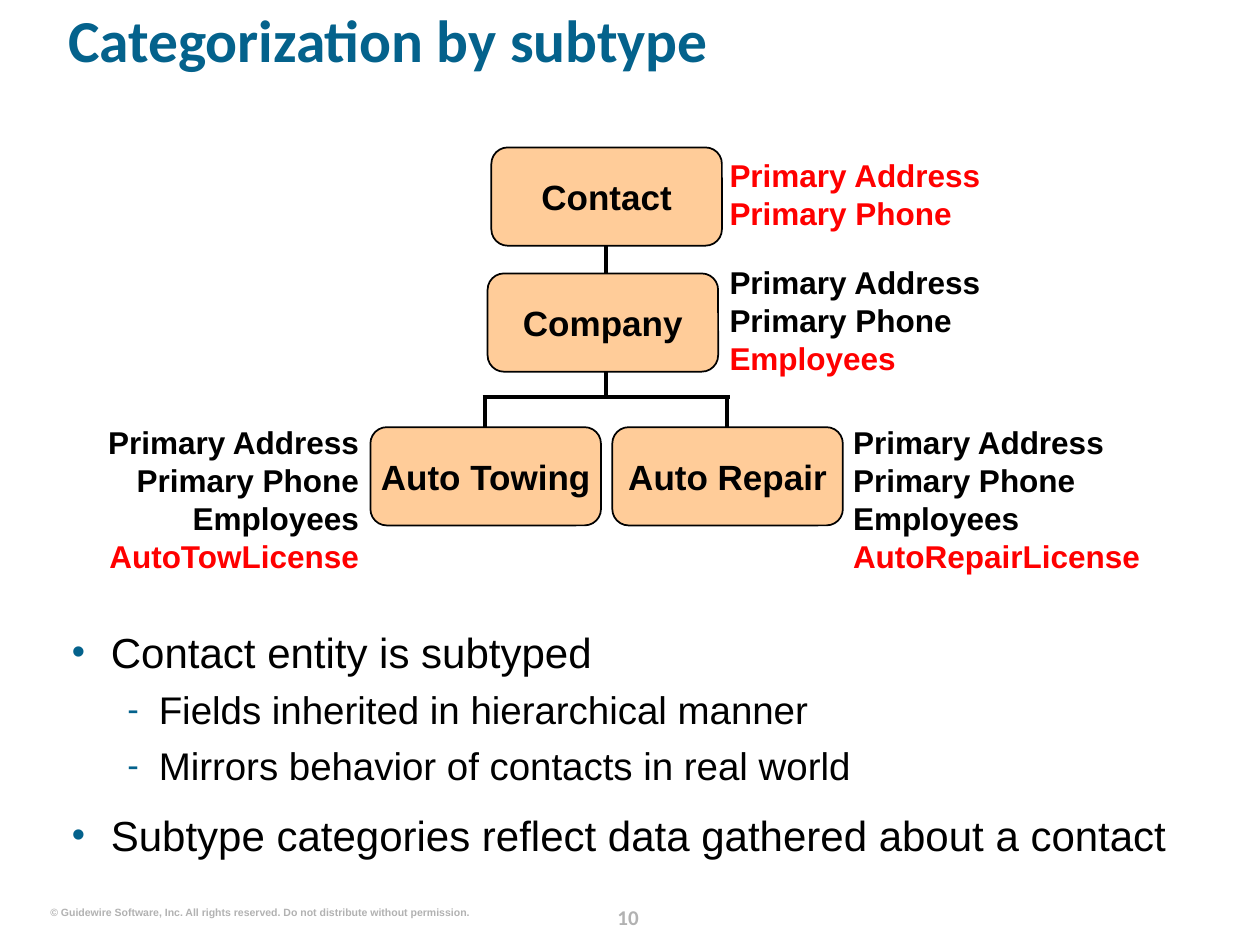
from dataclasses import dataclass

from lxml.etree import SubElement
from pptx import Presentation
from pptx.dml.color import RGBColor
from pptx.enum.shapes import MSO_CONNECTOR, MSO_SHAPE
from pptx.enum.text import MSO_ANCHOR, MSO_AUTO_SIZE, PP_ALIGN
from pptx.oxml.ns import qn
from pptx.util import Inches, Pt


@dataclass(frozen=True)
class Theme:
    brand: str = "04628C"
    ink: str = "000000"
    added: str = "FF0000"
    node: str = "FFCC99"
    muted: str = "B2B2B2"
    heading_font: str = "Calibri"
    body_font: str = "Arial"
    title: int = 34
    bullet: int = 24
    sub_bullet: int = 22
    label: int = 20
    field: int = 18
    page: int = 12
    legal: int = 6


THEME = Theme()
NODE_W, NODE_H = 1.83, 0.78
FIELD_LINE = 0.3


def place(sp, box):
    sp.left, sp.top, sp.width, sp.height = (Inches(v) for v in box)


def prepare_frame(tf, anchor=MSO_ANCHOR.TOP, wrap=True):
    tf.auto_size = MSO_AUTO_SIZE.NONE
    tf.word_wrap = wrap
    tf.vertical_anchor = anchor
    tf.margin_left = tf.margin_right = tf.margin_top = tf.margin_bottom = 0


def write(p, text, size, color=THEME.ink, bold=False, font=THEME.body_font,
          align=PP_ALIGN.LEFT, before=0, spacing=None):
    p.alignment = align
    p.space_before = Pt(before)
    p.line_spacing = spacing
    r = p.add_run()
    r.text = text
    r.font.name = font
    r.font.size = Pt(size)
    r.font.bold = bold
    r.font.color.rgb = RGBColor.from_string(color)


def add_text_box(s, box, wrap=True):
    sp = s.shapes.add_textbox(*(Inches(v) for v in box))
    prepare_frame(sp.text_frame, wrap=wrap)
    return sp.text_frame.paragraphs[0]


def add_bullet(p, char, left, hanging):
    pPr = p._p.get_or_add_pPr()
    pPr.set("marL", str(Inches(left)))
    pPr.set("indent", str(-Inches(hanging)))
    color = SubElement(pPr, qn("a:buClr"))
    SubElement(color, qn("a:srgbClr"), val=THEME.brand)
    SubElement(pPr, qn("a:buSzPct"), val="90000")
    SubElement(pPr, qn("a:buFont"), typeface=THEME.body_font)
    SubElement(pPr, qn("a:buChar"), char=char)


def add_line(s, x1, y1, x2, y2):
    line = s.shapes.add_connector(
        MSO_CONNECTOR.STRAIGHT, *(Inches(v) for v in (x1, y1, x2, y2)))
    line.line.color.rgb = RGBColor.from_string(THEME.ink)
    line.line.width = Pt(2.25)
    SubElement(line._element.spPr, qn("a:effectLst"))


def add_node(s, x, y, label):
    sp = s.shapes.add_shape(MSO_SHAPE.ROUNDED_RECTANGLE, Inches(x), Inches(y),
                            Inches(NODE_W), Inches(NODE_H))
    sp.shadow.inherit = False
    sp.fill.solid()
    sp.fill.fore_color.rgb = RGBColor.from_string(THEME.node)
    sp.line.color.rgb = RGBColor.from_string(THEME.ink)
    sp.line.width = Pt(1)
    prepare_frame(sp.text_frame, MSO_ANCHOR.MIDDLE)
    write(sp.text_frame.paragraphs[0], label, THEME.label, bold=True,
          align=PP_ALIGN.CENTER)


def add_fields(s, x, y, width, inherited, added, align=PP_ALIGN.LEFT):
    fields = [(name, THEME.ink) for name in inherited]
    fields += [(name, THEME.added) for name in added]
    p = add_text_box(s, (x, y, width, FIELD_LINE * len(fields)))
    for i, (name, color) in enumerate(fields):
        if i:
            p.add_line_break()
        write(p, name, THEME.field, color, bold=True, align=align)


def add_hierarchy(s, box):
    left, top, width, height = box
    trunk, fork = left + 4.16, top + 1.98
    drops = left + 3.2, left + 5.12
    add_line(s, trunk, top + NODE_H, trunk, fork)
    add_line(s, drops[0] - 0.02, fork, drops[1] + 0.02, fork)
    for x in drops:
        add_line(s, x, fork, x, top + 2.22)

    for x, y, label in [(3.25, 0, "Contact"), (3.22, 1, "Company"),
                        (2.29, 2.22, "Auto Towing"), (4.21, 2.22, "Auto Repair")]:
        add_node(s, left + x, top + y, label)

    contact = ["Primary Address", "Primary Phone"]
    company = contact + ["Employees"]
    add_fields(s, left + 5.14, top + 0.07, 2.2, [], contact)
    add_fields(s, left + 5.14, top + 0.92, 2.2, contact, ["Employees"])
    add_fields(s, left, top + 2.19, 2.2, company, ["AutoTowLicense"], PP_ALIGN.RIGHT)
    add_fields(s, left + 6.12, top + 2.19, width - 6.12, company, ["AutoRepairLicense"])


def add_title(s, box, text):
    sp = s.shapes.title
    place(sp, box)
    prepare_frame(sp.text_frame)
    write(sp.text_frame.paragraphs[0], text, THEME.title, THEME.brand, bold=True,
          font=THEME.heading_font, spacing=0.8)


def add_body(s, box, items):
    sp = s.placeholders[1]
    place(sp, box)
    tf = sp.text_frame
    prepare_frame(tf)
    styles = [("•", 0.31, 0.31, THEME.bullet, 12), ("-", 0.69, 0.25, THEME.sub_bullet, 5.5)]
    for i, (level, text) in enumerate(items):
        p = tf.add_paragraph() if i else tf.paragraphs[0]
        char, indent, hanging, size, before = styles[level]
        p.level = level
        add_bullet(p, char, indent, hanging)
        write(p, text, size, before=before if i else 0)


def add_footer(s, box, legal, page):
    left, top, width, height = box
    p = add_text_box(s, (left, top + 0.06, 3.33, 0.1), wrap=False)
    write(p, legal, THEME.legal, THEME.muted, bold=True)
    p = add_text_box(s, (left + 4.3, top, 0.57, height))
    write(p, page, THEME.page, THEME.muted, bold=True, font=THEME.heading_font,
          align=PP_ALIGN.CENTER, spacing=Pt(18))


def main():
    prs = Presentation()
    prs.slide_width, prs.slide_height = Inches(10), Inches(7.5)
    s = prs.slides.add_slide(prs.slide_layouts[1])
    add_title(s, (0.54, 0.13, 9.1, 0.81), "Categorization by subtype")
    add_hierarchy(s, (0.65, 1.17, 8.64, 3.39))
    add_body(s, (0.57, 4.97, 9.1, 2.02), [
        (0, "Contact entity is subtyped"),
        (1, "Fields inherited in hierarchical manner"),
        (1, "Mirrors behavior of contacts in real world"),
        (0, "Subtype categories reflect data gathered about a contact"),
    ])
    add_footer(s, (0.4, 7.13, 9.2, 0.25),
               "© Guidewire Software, Inc. All rights reserved. "
               "Do not distribute without permission.", "10")
    prs.save("out.pptx")


if __name__ == "__main__":
    main()
